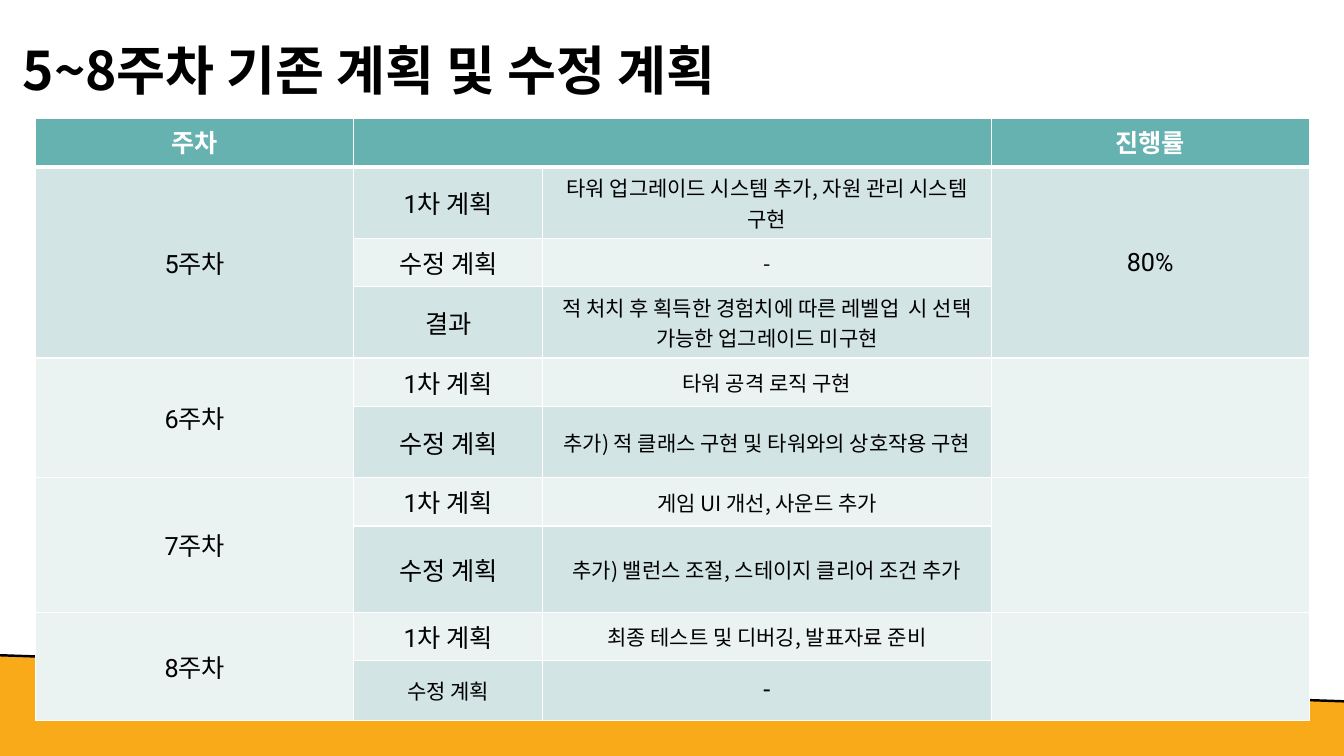
import pptx
import pptx.dml.color
import pptx.enum.shapes
import pptx.enum.text
import pptx.oxml
import pptx.oxml.ns
import pptx.util
from lxml import etree

PX = 9525
BLACK = pptx.dml.color.RGBColor(0, 0, 0)
WHITE = pptx.dml.color.RGBColor(255, 255, 255)
ORANGE = pptx.dml.color.RGBColor(0xF9, 0xAA, 0x19)
TEAL = pptx.dml.color.RGBColor(0x66, 0xB2, 0xB0)
MINT = pptx.dml.color.RGBColor(0xD3, 0xE4, 0xE4)
PALE = pptx.dml.color.RGBColor(0xEA, 0xF2, 0xF2)
KOREAN = "Noto Sans CJK KR"
LATIN = "Roboto"
CENTER = pptx.enum.text.PP_ALIGN.CENTER
LEFT = pptx.enum.text.PP_ALIGN.LEFT
TOP = pptx.enum.text.MSO_ANCHOR.TOP
MIDDLE = pptx.enum.text.MSO_ANCHOR.MIDDLE


def write_text(frame, text, name, size, color, bold, alignment):
    paragraph = frame.paragraphs[0]
    paragraph.alignment = alignment
    run = paragraph.add_run()
    run.text = text
    font = run.font
    values = {"name": name, "size": pptx.util.Pt(size), "bold": bold}
    for attribute, value in values.items():
        setattr(font, attribute, value)
    font.color.rgb = color
    east_asian = etree.SubElement(run._r.get_or_add_rPr(), pptx.oxml.ns.qn("a:ea"))
    east_asian.set("typeface", KOREAN)


def add_border(cell, side, points):
    cell._tc.get_or_add_tcPr().append(pptx.oxml.parse_xml(
        f'<a:{side} xmlns:a="http://schemas.openxmlformats.org/drawingml/2006/main" '
        f'w="{points * 12700}"><a:solidFill><a:srgbClr val="{WHITE}"/></a:solidFill></a:{side}>'
    ))


presentation = pptx.Presentation()
presentation.slide_width = 1280 * PX
presentation.slide_height = 720 * PX
slide = presentation.slides.add_slide(presentation.slide_layouts[5])

builder = slide.shapes.build_freeform(-1, 624, scale=PX)
builder.add_line_segments([(1282, 668), (1282, 723), (-1, 720)], close=True)
floor = builder.convert_to_shape()
floor.shadow.inherit = False
floor.fill.solid()
floor.fill.fore_color.rgb = ORANGE
floor.line.fill.background()

edge = slide.shapes.add_connector(
    pptx.enum.shapes.MSO_CONNECTOR.STRAIGHT, -1 * PX, 624 * PX, 1282 * PX, 668 * PX
)
edge.line.color.rgb = BLACK
edge.line.width = pptx.util.Pt(1.75)
etree.SubElement(edge._element.spPr, pptx.oxml.ns.qn("a:effectLst"))

title = slide.shapes.title
title_box = {"left": 12, "top": 0, "width": 1104, "height": 139}
for attribute, value in title_box.items():
    setattr(title, attribute, value * PX)
title_format = {
    "vertical_anchor": MIDDLE,
    "word_wrap": True,
    "auto_size": pptx.enum.text.MSO_AUTO_SIZE.NONE,
}
for attribute, value in title_format.items():
    setattr(title.text_frame, attribute, value)
write_text(title.text_frame, "5~8주차 기존 계획 및 수정 계획", KOREAN, 38, BLACK, True, LEFT)
title.text_frame.paragraphs[0].line_spacing = 0.9

weeks = [
    ("5주차", "80%", MINT, [
        ("1차 계획", "타워 업그레이드 시스템 추가, 자원 관리 시스템 구현"),
        ("수정 계획", "-"),
        ("결과", "적 처치 후 획득한 경험치에 따른 레벨업  시 선택 가능한 업그레이드 미구현"),
    ]),
    ("6주차", "", PALE, [
        ("1차 계획", "타워 공격 로직 구현"),
        ("수정 계획", "추가) 적 클래스 구현 및 타워와의 상호작용 구현"),
    ]),
    ("7주차", "", PALE, [
        ("1차 계획", "게임 UI 개선, 사운드 추가"),
        ("수정 계획", "추가) 밸런스 조절, 스테이지 클리어 조건 추가"),
    ]),
    ("8주차", "", PALE, [
        ("1차 계획", "최종 테스트 및 디버깅, 발표자료 준비"),
        ("수정 계획", "-"),
    ]),
]
column_widths = [303, 180, 427, 303]
row_heights = [46, 68, 46, 68, 46, 68, 46, 82, 46, 57]
last_row = len(row_heights) - 1

table = slide.shapes.add_table(
    len(row_heights), len(column_widths), 34 * PX, 113 * PX,
    sum(column_widths) * PX, sum(row_heights) * PX,
).table
for column, width in zip(table.columns, column_widths):
    column.width = width * PX
for row, height in zip(table.rows, row_heights):
    row.height = height * PX

entries = {(0, 0): ("주차", LATIN, 18), (0, 3): ("진행률", LATIN, 18)}
fills = {(0, column): TEAL for column in range(4)}
table.cell(0, 1).merge(table.cell(0, 2))
first = 1
for week, progress, week_fill, plans in weeks:
    for column, text in ((0, week), (3, progress)):
        table.cell(first, column).merge(table.cell(first + len(plans) - 1, column))
        entries[first, column] = (text, LATIN, 18)
    for row, (label, plan) in enumerate(plans, first):
        entries[row, 1] = (label, LATIN, 18)
        entries[row, 2] = (plan, KOREAN, 15)
        for column in range(4):
            banded = MINT if row % 2 else PALE
            fills[row, column] = banded if column in (1, 2) else week_fill
    first += len(plans)
for row in range(4, last_row + 1):
    for column in (1, 2):
        fills[row, column] = PALE if row % 2 == 0 else MINT
entries[last_row, 1] = ("수정 계획", LATIN, 15)
entries[last_row, 2] = ("-", LATIN, 18)

for (row, column), fill in fills.items():
    cell = table.cell(row, column)
    cell.vertical_anchor = MIDDLE if row else TOP
    borders = {"lnL": 1, "lnR": 1, "lnT": 3 if row == 1 else 1, "lnB": 1 if row else 3}
    for side, points in borders.items():
        add_border(cell, side, points)
    cell.fill.solid()
    cell.fill.fore_color.rgb = fill
    text, name, size = entries.get((row, column), ("", LATIN, 18))
    if text:
        write_text(cell.text_frame, text, name, size, BLACK if row else WHITE, row == 0, CENTER)

presentation.save("out.pptx")
